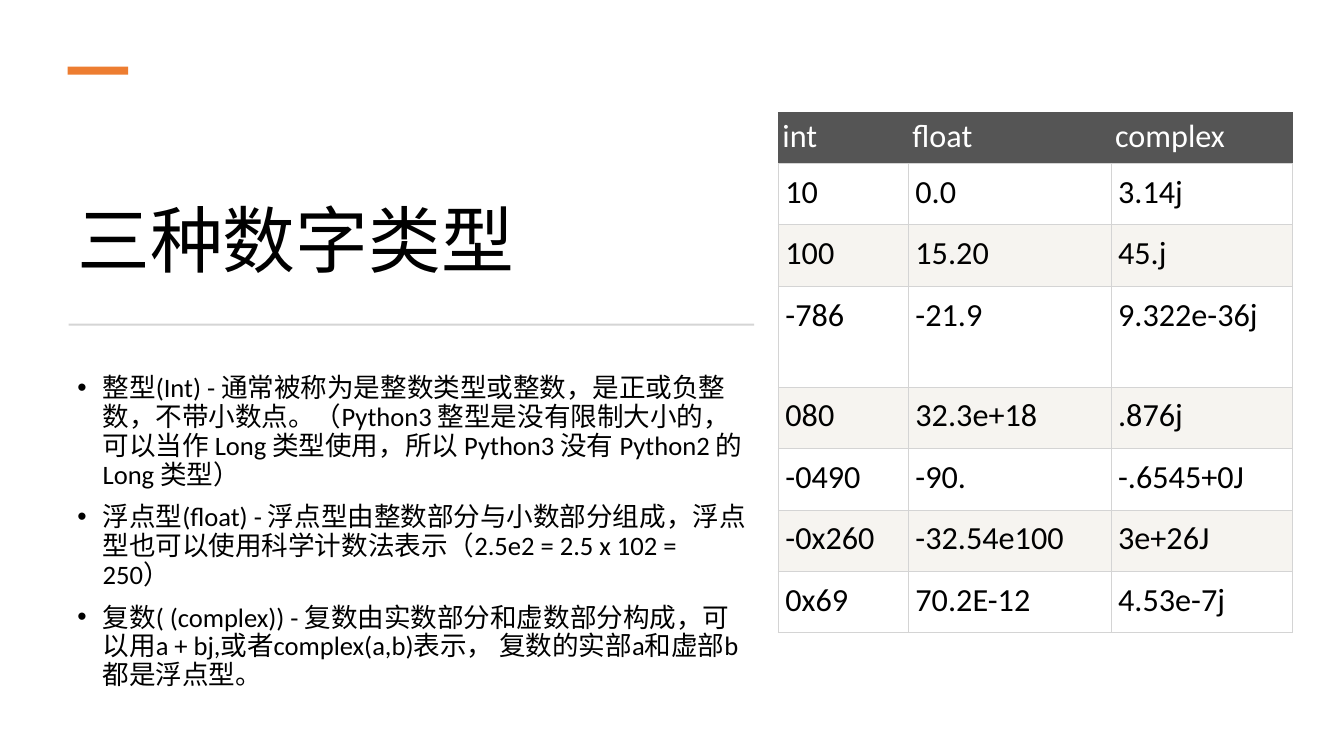
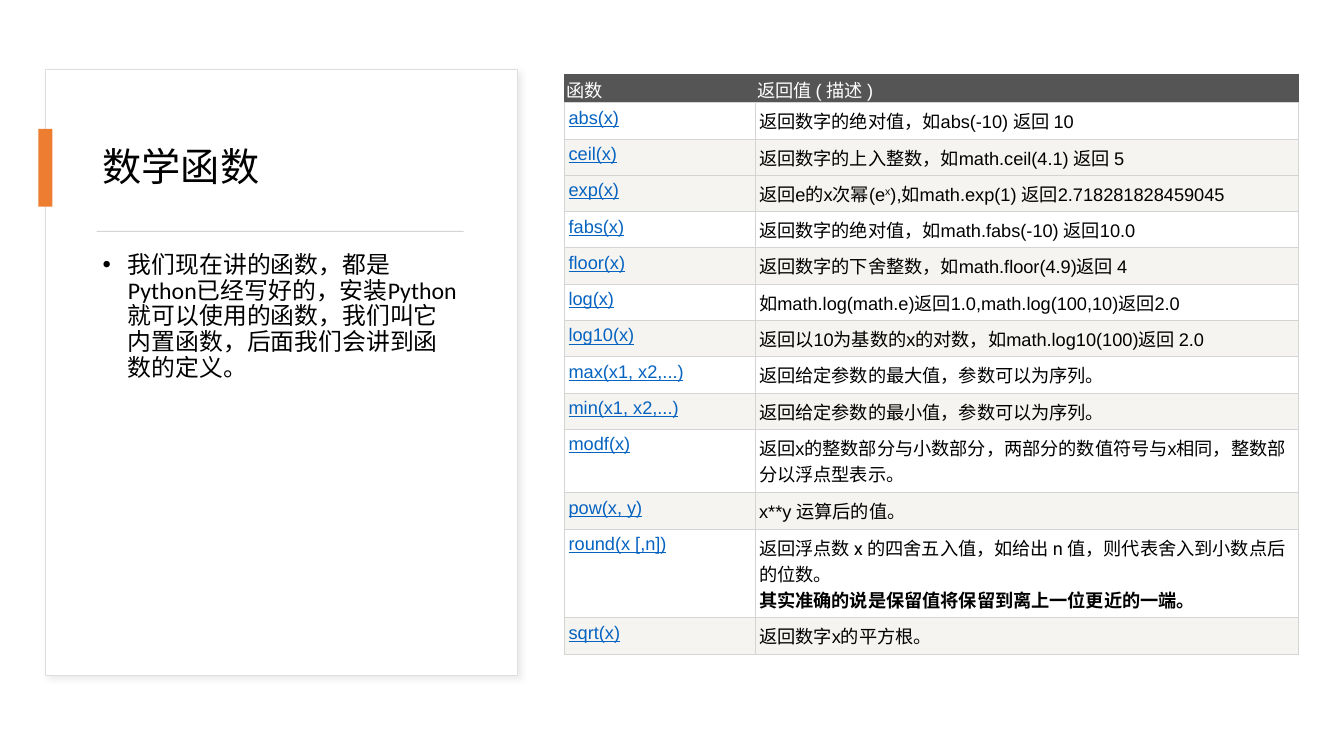
from dataclasses import dataclass
from typing import Any

from lxml import etree
from pptx import Presentation
from pptx.dml.color import RGBColor
from pptx.enum.shapes import MSO_SHAPE
from pptx.enum.text import MSO_ANCHOR
from pptx.oxml.ns import qn
from pptx.util import Inches, Pt

RECT = MSO_SHAPE.RECTANGLE
TOP, MIDDLE, BOTTOM = MSO_ANCHOR.TOP, MSO_ANCHOR.MIDDLE, MSO_ANCHOR.BOTTOM

HUES = {
    "text": "000000", "white": "FFFFFF", "accent": "ED7D31", "rule": "D5D5D5",
    "frame": "DEDEDE", "shadow": "D9D9D9", "head": "555555", "band": "F6F4F0",
    "grid": "D4D4D4", "link": "0563C1",
}
BODY = {"line_spacing": 0.9, "space_before": Pt(10)}
TITLE = {"line_spacing": 0.9}
Box = tuple[float, float, float, float]


@dataclass
class Bar:
    """A plain filled rectangle."""
    box: Box
    hue: str
    turn: int = 0


@dataclass
class Run:
    """A piece of text with its own format."""
    text: str
    face: str = "Arial"
    bold: bool = False
    sup: bool = False


Cell = str | list[list[Run]]


@dataclass
class Grid:
    """A table with a dark head row and shaded bands."""
    left: float
    top: float
    cols: list[float]
    rows: list[float]
    cells: list[tuple[Cell, ...]]
    bands: set[int]
    face: str
    size: int
    head_pad: tuple[float, float]
    pad: tuple[float, float]
    links: bool = False


def color(hue: str) -> RGBColor:
    """Look up a named colour."""
    return RGBColor.from_string(HUES[hue])


def apply(item: Any, vals: dict[str, Any]) -> None:
    """Set each format value on an object."""
    for name, val in vals.items():
        setattr(item, name, val)


def add_node(root: Any, tag: str, **attrs: str) -> Any:
    """Append a DrawingML element."""
    return etree.SubElement(root, qn(f"a:{tag}"), attrs)


def add_run(para: Any, run: Run, size: int, hue: str, line: bool = False) -> None:
    """Write one run into a paragraph."""
    part = para.add_run()
    part.text = run.text
    apply(part.font, {"name": run.face, "size": Pt(size), "bold": run.bold,
                      "underline": line})
    part.font.color.rgb = color(hue)
    if run.sup:
        part.font._element.set("baseline", "30000")


def add_bar(slide: Any, bar: Bar) -> Any:
    """Draw a borderless rectangle."""
    shape = slide.shapes.add_shape(RECT, *map(Inches, bar.box))
    apply(shape, {"rotation": bar.turn})
    shape.shadow.inherit = False
    shape.fill.solid()
    shape.fill.fore_color.rgb = color(bar.hue)
    shape.line.fill.background()
    return shape


def add_card(slide: Any, box: Box) -> None:
    """Draw a framed white panel with a soft shadow."""
    card = add_bar(slide, Bar(box, "white"))
    card.line.color.rgb = color("frame")
    card.line.width = Pt(0.75)
    effects = card._element.spPr.find(qn("a:effectLst"))
    shade = add_node(effects, "outerShdw", blurRad=str(Pt(4)), dist=str(Pt(3)),
                     dir="2700000", algn="tl", rotWithShape="0")
    tint = add_node(shade, "srgbClr", val=HUES["shadow"])
    add_node(tint, "alpha", val="50000")


def add_text(slide: Any, box: Box, paras: list[str], size: int, anchor: Any,
             style: dict[str, Any], bullet: bool = False) -> None:
    """Write a title or a bulleted body."""
    frame = slide.shapes.add_textbox(*map(Inches, box)).text_frame
    apply(frame, {"word_wrap": True, "vertical_anchor": anchor})
    for i, text in enumerate(paras):
        para = frame.add_paragraph() if i else frame.paragraphs[0]
        apply(para, style)
        add_run(para, Run(text, "Calibri"), size, "text")
        if bullet:
            props = para._p.get_or_add_pPr()
            props.set("marL", str(Inches(0.25)))
            props.set("indent", str(-Inches(0.25)))
            add_node(props, "buFont", typeface="Arial")
            add_node(props, "buChar", char="•")


def add_edges(cell: Any, head: bool) -> None:
    """Outline a cell on all four sides."""
    props = cell._tc.get_or_add_tcPr()
    for i, side in enumerate("LRTB"):
        hue = "head" if head and side != "B" else "grid"
        edge = add_node(props, f"ln{side}", w=str(Pt(0.75)))
        add_node(add_node(edge, "solidFill"), "srgbClr", val=HUES[hue])
        props.insert(i, edge)


def fill_cell(cell: Any, grid: Grid, row: int, col: int) -> None:
    """Format a table cell and write its text."""
    head = row == 0
    link = grid.links and not head and col == 0
    wide, high = map(Inches, grid.head_pad if head else grid.pad)
    apply(cell, {"margin_left": wide, "margin_right": wide, "margin_top": high,
                 "margin_bottom": high, "vertical_anchor": TOP})
    cell.fill.solid()
    back = "head" if head else "band" if row in grid.bands else "white"
    cell.fill.fore_color.rgb = color(back)
    add_edges(cell, head)
    data = grid.cells[row][col]
    paras = [[Run(data, grid.face)]] if isinstance(data, str) else data
    hue = "white" if head else "link" if link else "text"
    frame = cell.text_frame
    for i, runs in enumerate(paras):
        para = frame.add_paragraph() if i else frame.paragraphs[0]
        for run in runs:
            add_run(para, run, grid.size, hue, link)


def add_grid(slide: Any, grid: Grid) -> None:
    """Build a table."""
    area = (grid.left, grid.top, sum(grid.cols), sum(grid.rows))
    table = slide.shapes.add_table(len(grid.rows), len(grid.cols),
                                   *map(Inches, area)).table
    apply(table, {"first_row": False, "horz_banding": False})
    for col, width in enumerate(grid.cols):
        table.columns[col].width = Inches(width)
    for row, height in enumerate(grid.rows):
        table.rows[row].height = Inches(height)
        for col in range(len(grid.cols)):
            fill_cell(table.cell(row, col), grid, row, col)


NUMBERS = Grid(
    7.72, 1.12, [1.29, 2.01, 1.8], [0.5] + [0.61] * 2 + [1] + [0.61] * 4,
    [
        ("int", "float", "complex"),
        ("10", "0.0", "3.14j"),
        ("100", "15.20", "45.j"),
        ("-786", "-21.9", "9.322e-36j"),
        ("080", "32.3e+18", ".876j"),
        ("-0490", "-90.", "-.6545+0J"),
        ("-0x260", "-32.54e100", "3e+26J"),
        ("0x69", "70.2E-12", "4.53e-7j"),
    ],
    {2, 4, 6}, "Calibri", 23, (0.04, 0.04), (0.07, 0.09))

POWER = [[Run("返回e的x次幂(e"), Run("x", sup=True),
          Run("),如math.exp(1) 返回2.718281828459045")]]
ROUND = [
    [Run("返回浮点数 x 的四舍五入值，如给出 n 值，则代表舍入到小数点后的位数。", "Roboto")],
    [Run("其实准确的说是保留值将保留到离上一位更近的一端。", "Roboto", bold=True)],
]
MATH = Grid(
    5.6, 0.74, [1.89, 5.39],
    [0.28] + [0.36] * 9 + [0.63, 0.36, 0.88, 0.36],
    [
        ("函数", "返回值 ( 描述 )"),
        ("abs(x)", "返回数字的绝对值，如abs(-10) 返回 10"),
        ("ceil(x)", "返回数字的上入整数，如math.ceil(4.1) 返回 5"),
        ("exp(x)", POWER),
        ("fabs(x)", "返回数字的绝对值，如math.fabs(-10) 返回10.0"),
        ("floor(x)", "返回数字的下舍整数，如math.floor(4.9)返回 4"),
        ("log(x)", "如math.log(math.e)返回1.0,math.log(100,10)返回2.0"),
        ("log10(x)", "返回以10为基数的x的对数，如math.log10(100)返回 2.0"),
        ("max(x1, x2,...)", "返回给定参数的最大值，参数可以为序列。"),
        ("min(x1, x2,...)", "返回给定参数的最小值，参数可以为序列。"),
        ("modf(x)", "返回x的整数部分与小数部分，两部分的数值符号与x相同，整数部分以浮点型表示。"),
        ("pow(x, y)", "x**y 运算后的值。"),
        ("round(x [,n])", ROUND),
        ("sqrt(x)", "返回数字x的平方根。"),
    ],
    {2, 3, 5, 7, 9, 11, 13}, "Arial", 13, (0.02, 0.02), (0.04, 0.05), True)

TYPES = [
    "整型(Int) - 通常被称为是整数类型或整数，是正或负整数，不带小数点。（Python3 整型是没有限制大小的，"
    "可以当作 Long 类型使用，所以 Python3 没有 Python2 的 Long 类型）",
    "浮点型(float) - 浮点型由整数部分与小数部分组成，浮点型也可以使用科学计数法表示（2.5e2 = 2.5 x 102 = 250）",
    "复数( (complex)) - 复数由实数部分和虚数部分构成，可以用a + bj,或者complex(a,b)表示，"
    " 复数的实部a和虚部b都是浮点型。",
]
BUILT = ["我们现在讲的函数，都是Python已经写好的，安装Python就可以使用的函数，"
         "我们叫它内置函数，后面我们会讲到函数的定义。"]


def draw_types(slide: Any) -> None:
    """Build the slide on number types."""
    add_text(slide, (0.67, 1.18, 6.86, 1.68), ["三种数字类型"], 52, BOTTOM, TITLE)
    add_bar(slide, Bar((0.93, 0.4, 0.08, 0.6), "accent", 90))
    add_bar(slide, Bar((0.68, 3.21, 6.8, 0.02), "rule"))
    add_text(slide, (0.67, 3.67, 6.86, 3.09), TYPES, 19, TOP, BODY, True)
    add_grid(slide, NUMBERS)


def draw_math(slide: Any) -> None:
    """Build the slide on math functions."""
    add_card(slide, (0.45, 0.69, 4.68, 6.01))
    add_text(slide, (0.92, 1.07, 3.73, 1.21), ["数学函数"], 28, MIDDLE, TITLE)
    add_bar(slide, Bar((0.38, 1.28, 0.14, 0.77), "accent"))
    add_bar(slide, Bar((0.96, 2.29, 3.64, 0.01), "rule"))
    add_text(slide, (0.92, 2.46, 3.73, 3.89), BUILT, 17, TOP, BODY, True)
    add_grid(slide, MATH)


def main() -> None:
    """Create and save the deck."""
    deck = Presentation()
    apply(deck, {"slide_width": Inches(13.33), "slide_height": Inches(7.5)})
    for draw in (draw_types, draw_math):
        draw(deck.slides.add_slide(deck.slide_layouts[6]))
    deck.save("out.pptx")


main()
